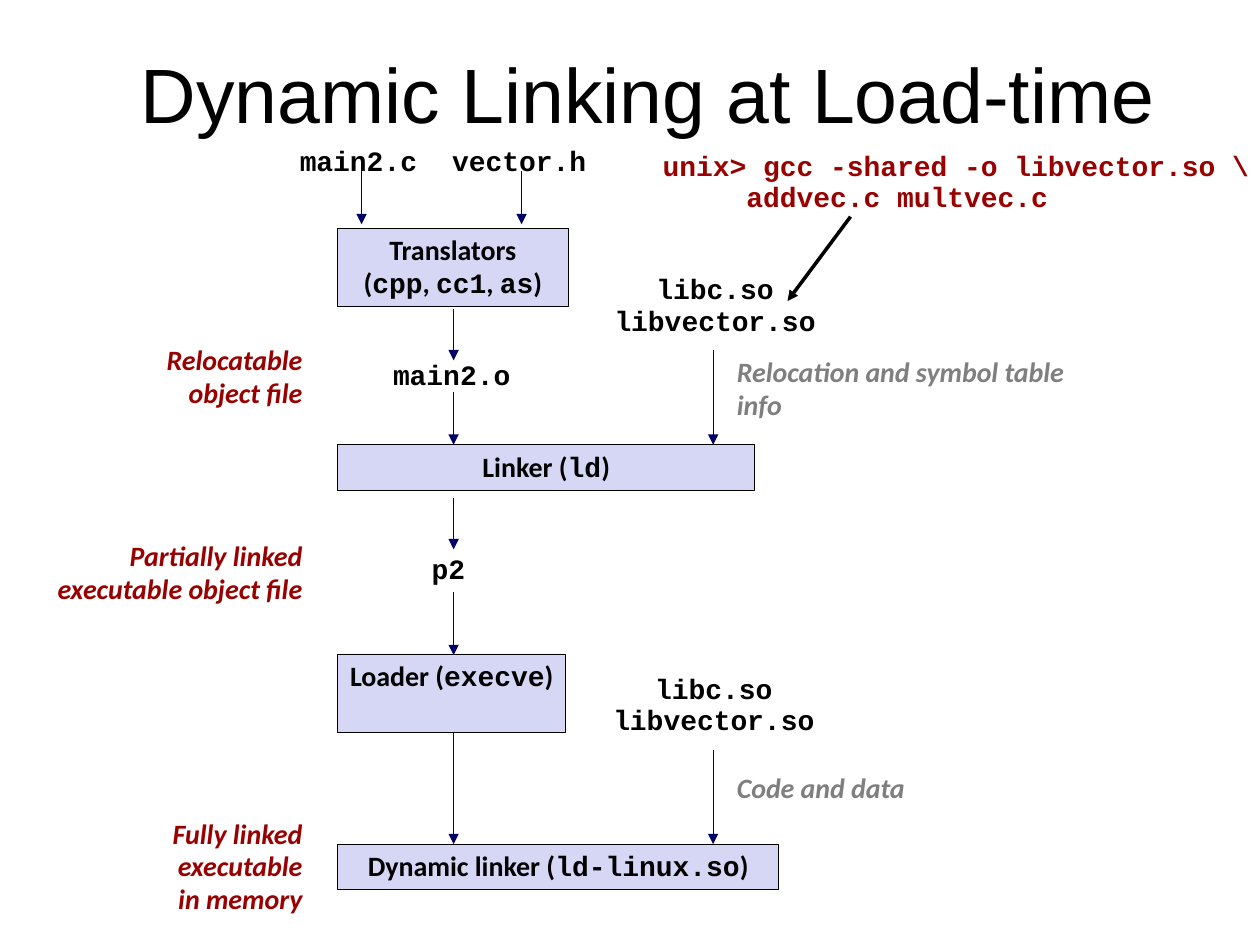
from lxml.etree import SubElement
from pptx import Presentation
from pptx.dml.color import RGBColor
from pptx.enum.shapes import MSO_CONNECTOR, MSO_SHAPE
from pptx.enum.text import MSO_ANCHOR, MSO_AUTO_SIZE, PP_ALIGN
from pptx.oxml.ns import qn
from pptx.util import Inches, Pt

BLACK, NAVY, RED, GRAY, LILAC = "000000", "000066", "990000", "7F7F7F", "D6D6F5"
LEFT, CENTER, RIGHT = PP_ALIGN.LEFT, PP_ALIGN.CENTER, PP_ALIGN.RIGHT


def color(value):
    return RGBColor.from_string(value)


def write(box, lines, align, ink, spacing, wrap=True, side=0.1, size=16, **font_values):
    """Fill a box with lines; parts between backticks are set as code."""
    frame = box.text_frame
    frame_values = {
        "word_wrap": wrap, "vertical_anchor": MSO_ANCHOR.TOP,
        "auto_size": MSO_AUTO_SIZE.NONE if wrap else MSO_AUTO_SIZE.SHAPE_TO_FIT_TEXT,
        "margin_left": Inches(side), "margin_right": Inches(side),
        "margin_top": Inches(0.05), "margin_bottom": Inches(0.05),
    }
    for name, value in frame_values.items():
        setattr(frame, name, value)
    values = {"size": Pt(size), "bold": True, "name": "Calibri"} | font_values
    for index, line in enumerate(lines):
        para = frame.paragraphs[0] if index == 0 else frame.add_paragraph()
        para.alignment = align
        para.line_spacing = spacing
        for part, words in enumerate(line.split("`")):
            if not words:
                continue
            span = para.add_run()
            span.text = words
            for name, value in values.items():
                setattr(span.font, name, value)
            if part % 2:
                span.font.name = "Courier New"
            span.font.color.rgb = color(ink)


deck = Presentation()
deck.slide_width, deck.slide_height = Inches(10), Inches(7.5)
page = deck.slides.add_slide(deck.slide_layouts[6])

# Title
title = page.shapes.add_textbox(Inches(0.38), Inches(0.31), Inches(9.53), Inches(0.85))
write(title, ["Dynamic Linking at Load-time"], CENTER, BLACK, 1.0,
      size=44, bold=False, name="Arial")
title.text_frame.vertical_anchor = MSO_ANCHOR.MIDDLE
indent = title.text_frame.paragraphs[0]._p.get_or_add_pPr()
indent.set("marL", str(Inches(0.13)))
indent.set("indent", str(Inches(-0.13)))

# Thin flow arrows, then the thick arrow from the command to the library
main_x, library_x = 3.6, 5.66
arrows = [
    (2.87, 1.36, 2.87, 1.78, NAVY, 0.25),
    (4.14, 1.36, 4.14, 1.78, NAVY, 0.25),
    (main_x, 2.45, main_x, 2.86, NAVY, 0.25),
    (main_x, 3.11, main_x, 3.53, NAVY, 0.25),
    (main_x, 3.95, main_x, 4.36, NAVY, 0.25),
    (main_x, 4.7, main_x, 5.2, NAVY, 0.25),
    (main_x, 5.81, main_x, 6.7, NAVY, 0.25),
    (library_x, 2.78, library_x, 3.53, NAVY, 0.25),
    (library_x, 5.95, library_x, 6.7, NAVY, 0.25),
    (6.75, 1.72, 6.25, 2.39, BLACK, 2),
]
for x1, y1, x2, y2, ink, weight in arrows:
    arrow = page.shapes.add_connector(
        MSO_CONNECTOR.STRAIGHT, Inches(x1), Inches(y1), Inches(x2), Inches(y2))
    arrow.line.color.rgb = color(ink)
    arrow.line.width = Pt(weight)
    SubElement(arrow.line._get_or_add_ln(), qn("a:tailEnd"), type="triangle")
    SubElement(arrow._element.spPr, qn("a:effectLst"))

# Tool boxes
tools = [
    (1.81, 1.83, 0.62, ["Translators", "(`cpp`, `cc1`, `as`)"]),
    (3.53, 3.31, 0.36, ["Linker (`ld`)"]),
    (5.19, 1.81, 0.62, ["Loader (`execve`)"]),
    (6.7, 3.5, 0.36, ["Dynamic linker (`ld-linux.so`)"]),
]
for top, width, height, lines in tools:
    tool = page.shapes.add_shape(
        MSO_SHAPE.RECTANGLE, Inches(2.68), Inches(top), Inches(width), Inches(height))
    tool.shadow.inherit = False
    tool.fill.solid()
    tool.fill.fore_color.rgb = color(LILAC)
    tool.line.color.rgb = color(BLACK)
    tool.line.width = Pt(0.25)
    write(tool, lines, CENTER, BLACK, 0.98, side=0.05)

# File names and the command
libraries = ["`libc.so`", "`libvector.so`"]
command = ["`unix> gcc -shared -o libvector.so \\`", "`     addvec.c multvec.c`"]
files = [
    (2.28, 1.11, 1.13, 0.35, ["`main2.c`"], CENTER, BLACK),
    (3.49, 1.11, 1.26, 0.35, ["`vector.h`"], CENTER, BLACK),
    (3.02, 2.81, 1.13, 0.35, ["`main2.o`"], CENTER, BLACK),
    (3.33, 4.35, 0.46, 0.35, ["`p2`"], CENTER, BLACK),
    (4.78, 2.13, 1.79, 0.6, libraries, CENTER, BLACK),
    (4.77, 5.3, 1.79, 0.6, libraries, CENTER, BLACK),
    (5.18, 1.15, 4.84, 0.6, command, LEFT, RED),
]
for left, top, width, height, lines, align, ink in files:
    label = page.shapes.add_textbox(Inches(left), Inches(top), Inches(width), Inches(height))
    write(label, lines, align, ink, 0.94, wrap=False, side=0.08)

# Stage notes on the left, library notes on the right
notes = [
    (1, 2.68, 1.5, 0.62, ["Relocatable", "object file"], RIGHT, RED),
    (-0.25, 4.24, 2.75, 0.62, ["Partially linked", "executable object file"], RIGHT, RED),
    (0.58, 6.44, 1.92, 0.89, ["Fully linked", "executable", "in memory"], RIGHT, RED),
    (5.75, 2.78, 2.85, 0.62, ["Relocation and symbol table info"], LEFT, GRAY),
    (5.75, 6.08, 1.94, 0.36, ["Code and data"], LEFT, GRAY),
]
for left, top, width, height, lines, align, ink in notes:
    note = page.shapes.add_textbox(Inches(left), Inches(top), Inches(width), Inches(height))
    write(note, lines, align, ink, 0.98, italic=True)

deck.save("out.pptx")
